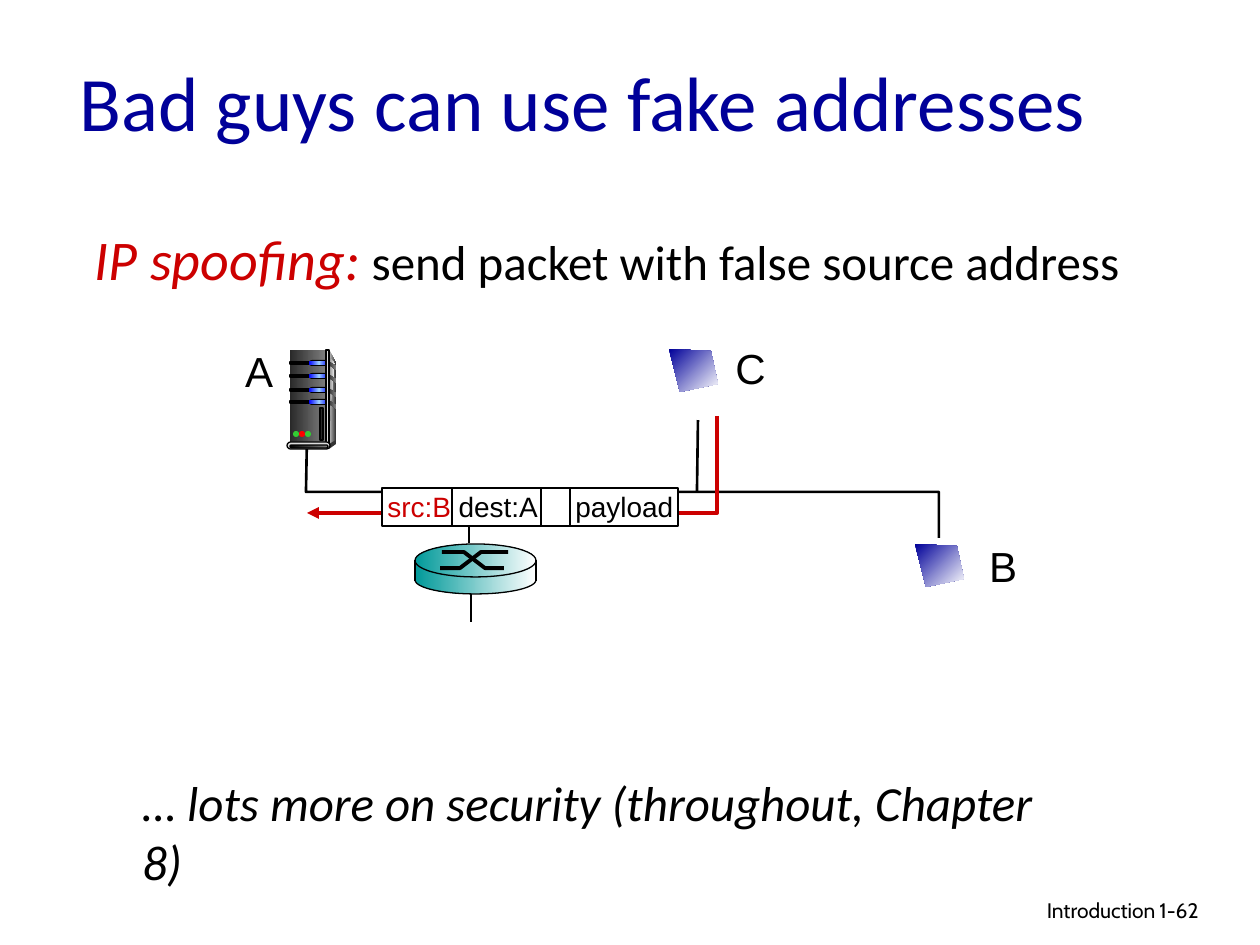
from dataclasses import dataclass
from typing import Optional

from lxml.etree import SubElement
from pptx import Presentation
from pptx.dml.color import RGBColor
from pptx.enum.shapes import MSO_CONNECTOR as Connector, MSO_SHAPE as Preset
from pptx.enum.text import MSO_ANCHOR as Anchor, PP_ALIGN as Align
from pptx.oxml.ns import qn
from pptx.util import Emu, Pt

SCALE = 914400 / 126
BLACK, WHITE, RED, NAVY, TEAL = "000000", "FFFFFF", "CC0000", "000099", "009999"
DARK, GREY, LIGHT, GREEN = "333333", "808080", "DDDDDD", "33CC33"
STEEL = ("292929", GREY)
BLUE_GLOW = ("0000FF", "99CCFF", "0000FF")
SEA = (TEAL, WHITE)


@dataclass(frozen=True)
class Box:
    preset: Preset
    left: int
    top: int
    width: int
    height: int
    colors: tuple[str, ...]
    line: Optional[str] = None
    weight: float = 0.75


@dataclass(frozen=True)
class Outline:
    points: tuple[tuple[int, int], ...]
    colors: tuple[str, ...] = ()
    angle: int = 0
    line: Optional[str] = None
    weight: float = 1.5
    arrow: bool = False


@dataclass(frozen=True)
class Run:
    text: str
    size: int
    color: str = BLACK
    italic: bool = False


def px(value: int) -> Emu:
    return Emu(round(value * SCALE))


def rgb(color: str) -> RGBColor:
    return RGBColor.from_string(color)


def paint(shape, colors: tuple[str, ...], angle: int, line: Optional[str], weight: float) -> None:
    shape.shadow.inherit = False
    if not colors:
        shape.fill.background()
    elif len(colors) == 1:
        shape.fill.solid()
        shape.fill.fore_color.rgb = rgb(colors[0])
    else:
        shape.fill.gradient()
        shape.fill.gradient_angle = -angle % 360
        stops = next(shape._element.spPr.iter(qn("a:gsLst")))
        for stop in list(stops):
            stops.remove(stop)
        for index, color in enumerate(colors):
            position = 100000 * index // (len(colors) - 1)
            stop = SubElement(stops, qn("a:gs"), pos=str(position))
            SubElement(stop, qn("a:srgbClr"), val=color)
    if line:
        shape.line.color.rgb = rgb(line)
        shape.line.width = Pt(weight)
    else:
        shape.line.fill.background()


def draw_box(shapes, box: Box) -> None:
    shape = shapes.add_shape(box.preset, px(box.left), px(box.top), px(box.width), px(box.height))
    if box.preset == Preset.ROUNDED_RECTANGLE:
        shape.adjustments[0] = 0.5
    paint(shape, box.colors, 0, box.line, box.weight)


def draw_outline(shapes, outline: Outline) -> None:
    builder = shapes.build_freeform(*outline.points[0], scale=SCALE)
    builder.add_line_segments(outline.points[1:], close=bool(outline.colors))
    shape = builder.convert_to_shape()
    paint(shape, outline.colors, outline.angle, outline.line, outline.weight)
    if outline.arrow:
        SubElement(shape.line._get_or_add_ln(), qn("a:tailEnd"), type="triangle")


def draw_line(shapes, start: tuple[int, int], end: tuple[int, int], weight: float) -> None:
    line = shapes.add_connector(Connector.STRAIGHT, *map(px, start + end))
    line.line.color.rgb = rgb(BLACK)
    line.line.width = Pt(weight)
    SubElement(line._element.spPr, qn("a:effectLst"))


def add_text(shapes, runs: list[Run], left: int, top: int, width: int, height: int, *,
             font: str = "Calibri", align: Align = Align.LEFT, anchor: Anchor = Anchor.TOP,
             wrap: bool = True, spacing: Optional[float] = None, indent: int = 0,
             tab: Optional[int] = None) -> None:
    shape = shapes.add_textbox(px(left), px(top), px(width), px(height))
    frame = shape.text_frame
    frame.word_wrap = wrap
    frame.vertical_anchor = anchor
    paragraph = frame.paragraphs[0]
    paragraph.alignment = align
    paragraph.line_spacing = spacing
    properties = paragraph._p.get_or_add_pPr()
    if indent:
        properties.set("marL", str(px(indent)))
        properties.set("indent", str(-px(indent)))
    if tab:
        tabs = SubElement(properties, qn("a:tabLst"))
        SubElement(tabs, qn("a:tab"), pos=str(px(tab)), algn="l")
    for item in runs:
        run = paragraph.add_run()
        run.text = item.text
        run.font.name = font
        run.font.size = Pt(item.size)
        run.font.color.rgb = rgb(item.color)
        run.font.italic = item.italic


def draw_screen(shapes, left: int, top: int) -> None:
    corners = ((0, 0), (42, 2), (49, 35), (11, 43))
    points = tuple((left + x, top + y) for x, y in corners)
    draw_outline(shapes, Outline(points, (NAVY, WHITE), 45))


def draw_packet(shapes) -> None:
    draw_box(shapes, Box(Preset.RECTANGLE, 382, 488, 296, 38, (WHITE,), BLACK, 1))
    for x in (452, 541, 570):
        draw_line(shapes, (x, 489), (x, 526), 1)
    add_text(shapes, [Run("src:B", 16, RED), Run(" dest:A\tpayload", 16)],
             375, 483, 316, 47, font="Arial", tab=188)


def draw_server(shapes) -> None:
    rectangle, pill, ellipse = Preset.RECTANGLE, Preset.ROUNDED_RECTANGLE, Preset.OVAL
    draw_outline(shapes, Outline(((329, 350), (336, 363), (336, 441), (328, 445)), (LIGHT, DARK)))
    draw_box(shapes, Box(rectangle, 290, 350, 37, 93, STEEL))
    draw_outline(shapes, Outline(((329, 357), (335, 364), (331, 400), (329, 442)), (GREY, "F8F8F8")))
    for top in (362, 375, 389, 401):
        draw_box(shapes, Box(rectangle, 290, top, 21, 2, (BLACK,), BLACK))
        draw_box(shapes, Box(pill, 309, top - 2, 20, 6, (BLACK,)))
        draw_box(shapes, Box(pill, 309, top - 1, 20, 4, BLUE_GLOW))
        vent = ((328, top - 1), (336, top + 4), (336, top + 8), (328, top + 2))
        draw_outline(shapes, Outline(vent, STEEL))
    draw_box(shapes, Box(rectangle, 326, 350, 3, 93, (DARK, LIGHT, DARK), BLACK))
    draw_outline(shapes, Outline(((329, 444), (329, 449), (336, 444), (336, 440)), (DARK,)))
    draw_box(shapes, Box(pill, 287, 442, 43, 7, (LIGHT,), BLACK))
    draw_box(shapes, Box(pill, 290, 445, 38, 3, (BLACK, GREY), BLACK))
    for index, color in enumerate((GREEN, "FF0000", GREEN)):
        draw_box(shapes, Box(ellipse, 293 + 6 * index, 431, 6, 6, (color,)))
    draw_box(shapes, Box(rectangle, 320, 408, 3, 32, (STEEL[0],), BLACK))


def draw_router(shapes) -> None:
    draw_box(shapes, Box(Preset.OVAL, 415, 566, 121, 28, SEA, BLACK))
    draw_box(shapes, Box(Preset.RECTANGLE, 415, 563, 121, 18, SEA))
    draw_box(shapes, Box(Preset.OVAL, 415, 544, 121, 33, SEA, BLACK))
    for points in (((440, 568), (460, 568), (481, 552), (508, 552)),
                   ((442, 552), (464, 552), (485, 568), (504, 568))):
        draw_outline(shapes, Outline(points, line=BLACK, weight=2.25))
    for x in (415, 536):
        draw_line(shapes, (x, 560), (x, 581), 0.75)


def main() -> None:
    presentation = Presentation()
    presentation.slide_width, presentation.slide_height = px(1260), px(945)
    slide = presentation.slides.add_slide(presentation.slide_layouts[6])
    shapes = slide.shapes

    add_text(shapes, [Run("Introduction", 12)], 769, 891, 399, 39, font="Cabin", align=Align.RIGHT)
    add_text(shapes, [Run("Bad guys can use fake addresses", 44, NAVY)],
             67, 35, 1071, 131, anchor=Anchor.MIDDLE)
    add_text(shapes, [Run("IP spoofing:", 32, RED, True), Run(" ", 28, "FF3300", True),
                      Run("send packet with false source address", 28)],
             82, 229, 1113, 204, spacing=0.85, indent=48)

    draw_screen(shapes, 669, 349)
    draw_outline(shapes, Outline(((307, 437), (306, 492), (939, 492), (939, 538)), line=BLACK))
    draw_outline(shapes, Outline(((697, 491), (698, 420)), line=BLACK))
    draw_line(shapes, (469, 543), (469, 491), 1.5)
    draw_line(shapes, (471, 622), (471, 590), 1.5)
    for name, left, top in (("A", 232, 339), ("B", 976, 534), ("C", 723, 336)):
        add_text(shapes, [Run(name, 24)], left, top, 54, 63,
                 font="Arial", align=Align.CENTER, wrap=False)
    draw_outline(shapes, Outline(((717, 416), (717, 513), (307, 513)),
                                 line=RED, weight=2.25, arrow=True))
    draw_packet(shapes.add_group_shape().shapes)
    draw_screen(shapes, 915, 544)
    draw_server(shapes.add_group_shape().shapes)
    draw_router(shapes.add_group_shape().shapes)

    add_text(shapes, [Run("1-62", 12)], 1147, 891, 93, 38, font="Cabin")
    add_text(shapes, [Run("… lots more on security (throughout, Chapter 8)", 28, italic=True)],
             130, 766, 920, 72)
    presentation.save("out.pptx")


if __name__ == "__main__":
    main()
